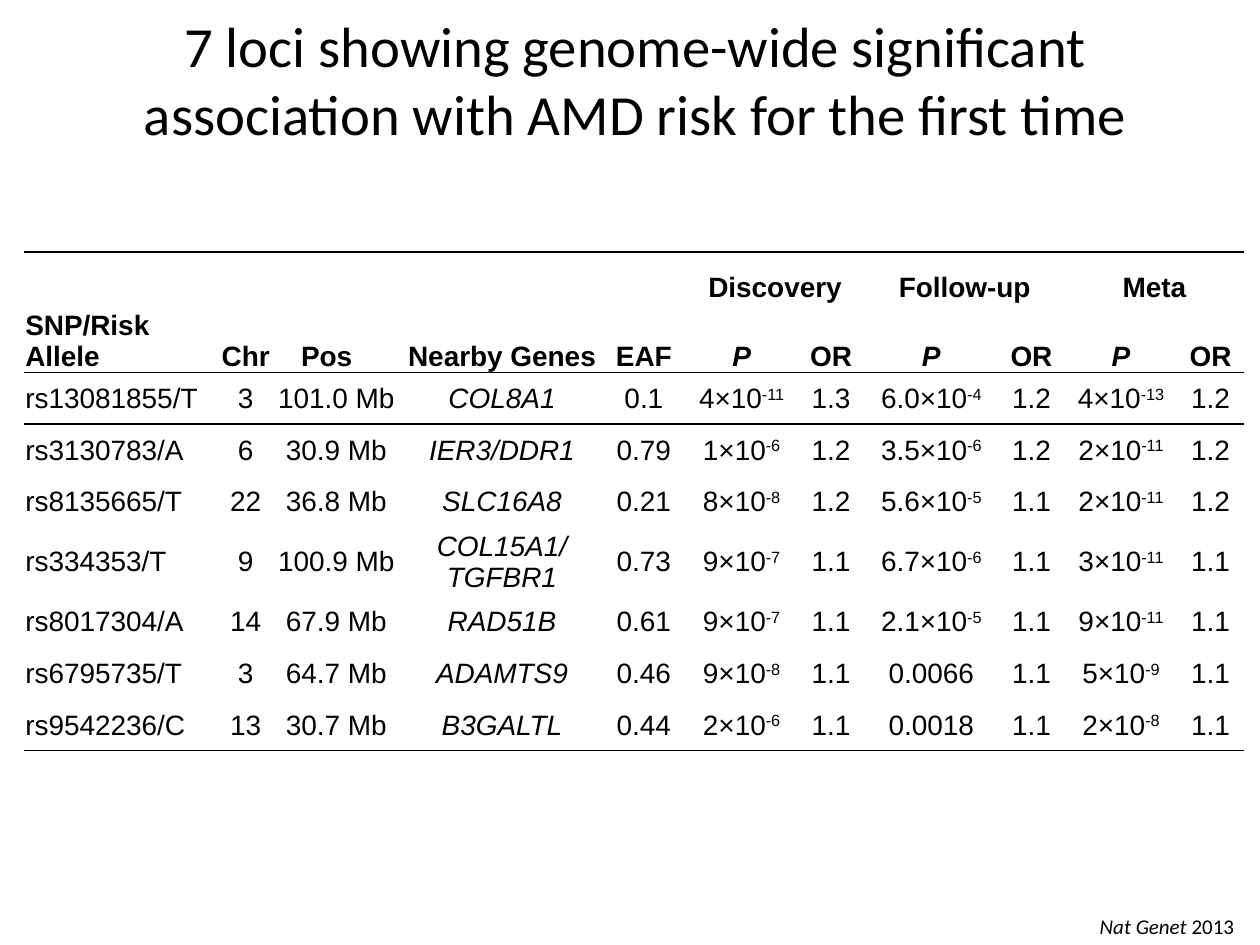
from lxml import etree
from pptx import Presentation, util as u
from pptx.dml.color import RGBColor
from pptx.enum import text
from pptx.oxml import ns

BLACK = RGBColor(0, 0, 0)
NO_STYLE = "{2D5ABB26-0587-4C30-8999-92F81FD0307C}"
CENTER = text.PP_ALIGN.CENTER
LEFT = text.PP_ALIGN.LEFT
MIDDLE = text.MSO_ANCHOR.MIDDLE
BOTTOM = text.MSO_ANCHOR.BOTTOM

WIDTHS = [3.96, 1.02, 2.64, 4.04, 1.68, 2.26, 1.35, 2.69, 1.35, 2.26, 1.35]
HEIGHTS = [1.04] * 5 + [1.25] + [1.04] * 3
MERGES = [(0, 0, 1, 0), (0, 3, 1, 3), (0, 4, 1, 4), (0, 1, 0, 2), (1, 1, 1, 2),
          (0, 5, 0, 6), (0, 7, 0, 8), (0, 9, 0, 10)]
HEADERS = [
    ["SNP/Risk Allele", "", "", "Nearby Genes", "EAF",
     "Discovery", "", "Follow-up", "", "Meta", ""],
    ["", "Chr\tPos", "", "", ""] + ["P", "OR"] * 3,
]
LOCI = [
    ["rs13081855/T", "3", "101.0 Mb", "COL8A1", "0.1",
     "4×10^-11", "1.3", "6.0×10^-4", "1.2", "4×10^-13", "1.2"],
    ["rs3130783/A", "6", "30.9 Mb", "IER3/DDR1", "0.79",
     "1×10^-6", "1.2", "3.5×10^-6", "1.2", "2×10^-11", "1.2"],
    ["rs8135665/T", "22", "36.8 Mb", "SLC16A8", "0.21",
     "8×10^-8", "1.2", "5.6×10^-5", "1.1", "2×10^-11", "1.2"],
    ["rs334353/T", "9", "100.9 Mb", "COL15A1/TGFBR1", "0.73",
     "9×10^-7", "1.1", "6.7×10^-6", "1.1", "3×10^-11", "1.1"],
    ["rs8017304/A", "14", "67.9 Mb", "RAD51B", "0.61",
     "9×10^-7", "1.1", "2.1×10^-5", "1.1", "9×10^-11", "1.1"],
    ["rs6795735/T", "3", "64.7 Mb", "ADAMTS9", "0.46",
     "9×10^-8", "1.1", "0.0066", "1.1", "5×10^-9", "1.1"],
    ["rs9542236/C", "13", "30.7 Mb", "B3GALTL", "0.44",
     "2×10^-6", "1.1", "0.0018", "1.1", "2×10^-8", "1.1"],
]


class SlideBuilder:
    """Holds the text style and the slide being filled."""

    def __init__(self, page):
        self.page = page
        self.title = {"name": "Calibri", "size": u.Pt(32.4)}
        self.source = {"name": "Calibri", "size": u.Pt(12)}
        self.body = {"name": "Arial", "size": u.Pt(16)}

    def add_span(self, para, words, style, **extra):
        span = para.add_run()
        span.text = words
        for key, value in {**style, **extra}.items():
            setattr(span.font, key, value)
        span.font.color.rgb = BLACK
        return span

    def text_box(self, place, spans, style, align=LEFT, anchor=text.MSO_ANCHOR.TOP, wrap=True):
        box = self.page.shapes.add_textbox(*map(u.Cm, place))
        frame = box.text_frame
        frame.word_wrap = wrap
        frame.vertical_anchor = anchor
        para = frame.paragraphs[0]
        para.alignment = align
        for words, extra in spans:
            self.add_span(para, words, style, **extra)

    def border(self, cell, side):
        line = etree.Element(ns.qn(f"a:ln{side}"), w=str(u.Pt(1)))
        fill = etree.SubElement(line, ns.qn("a:solidFill"))
        etree.SubElement(fill, ns.qn("a:srgbClr"), val=str(BLACK))
        cell._tc.get_or_add_tcPr().insert(0, line)

    def fill_cell(self, cell, words, align, anchor, **extra):
        margins = {"margin_left": 0.03, "margin_right": 0.03, "margin_top": 0.03, "margin_bottom": 0}
        for key, value in margins.items():
            setattr(cell, key, u.Cm(value))
        cell.vertical_anchor = anchor
        cell.fill.background()
        para = cell.text_frame.paragraphs[0]
        para.alignment = align
        if "\t" in words:
            tabs = etree.SubElement(para._p.get_or_add_pPr(), ns.qn("a:tabLst"))
            etree.SubElement(tabs, ns.qn("a:tab"), pos=str(u.Cm(1.6)), algn="l")
        base, _, power = words.partition("^")
        if base:
            self.add_span(para, base, self.body, **extra)
        if power:
            span = self.add_span(para, power, self.body, **extra)
            span._r.get_or_add_rPr().set("baseline", "30000")

    def table(self, place, rows, header_count):
        grid = self.page.shapes.add_table(len(rows), len(WIDTHS), *map(u.Cm, place)).table
        grid.first_row = grid.horz_banding = False
        grid._tbl.tblPr.find(ns.qn("a:tableStyleId")).text = NO_STYLE
        for column, width in zip(grid.columns, WIDTHS):
            column.width = u.Cm(width)
        for row, height in zip(grid.rows, HEIGHTS):
            row.height = u.Cm(height)
        for top, left, bottom, right in MERGES:
            grid.cell(top, left).merge(grid.cell(bottom, right))
        for r, row in enumerate(rows):
            header = r < header_count
            for c, words in enumerate(row):
                cell = grid.cell(r, c)
                left = c == 0 or "\t" in words
                self.fill_cell(cell, words, LEFT if left else CENTER, BOTTOM if header else MIDDLE,
                               bold=header, italic=words == "P" or (c == 3 and not header))
                tall = cell.is_merge_origin and cell.span_height > 1
                if tall or r in (header_count - 1, len(rows) - 1):
                    self.border(cell, "B")
                if r in (0, header_count):
                    self.border(cell, "T")


def main():
    deck = Presentation()
    deck.slide_width, deck.slide_height = u.Cm(25.4), u.Cm(19.05)
    builder = SlideBuilder(deck.slides.add_slide(deck.slide_layouts[6]))
    title = "7 loci showing genome-wide significant association with AMD risk for the first time"
    builder.text_box((0.84, 0, 23.93, 3.18), [(title, {})], builder.title, CENTER, MIDDLE)
    builder.table((0.48, 5.08, 24.56, 9.73), HEADERS + LOCI, len(HEADERS))
    builder.text_box((21.92, 18.29, 3.25, 0.76), [("Nat Genet", {"italic": True}), (" 2013", {})],
                     builder.source, wrap=False)
    deck.save("out.pptx")


if __name__ == "__main__":
    main()
